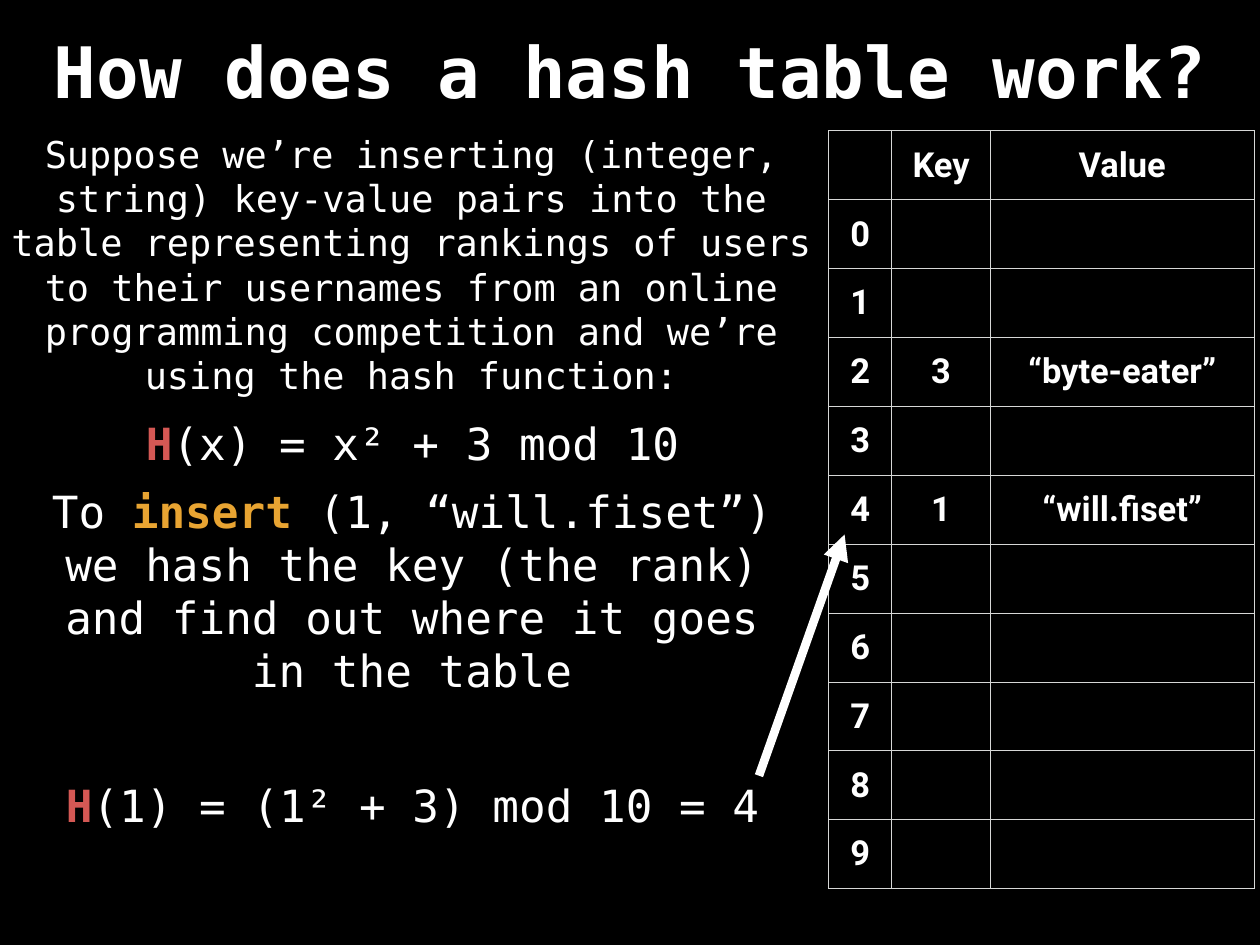
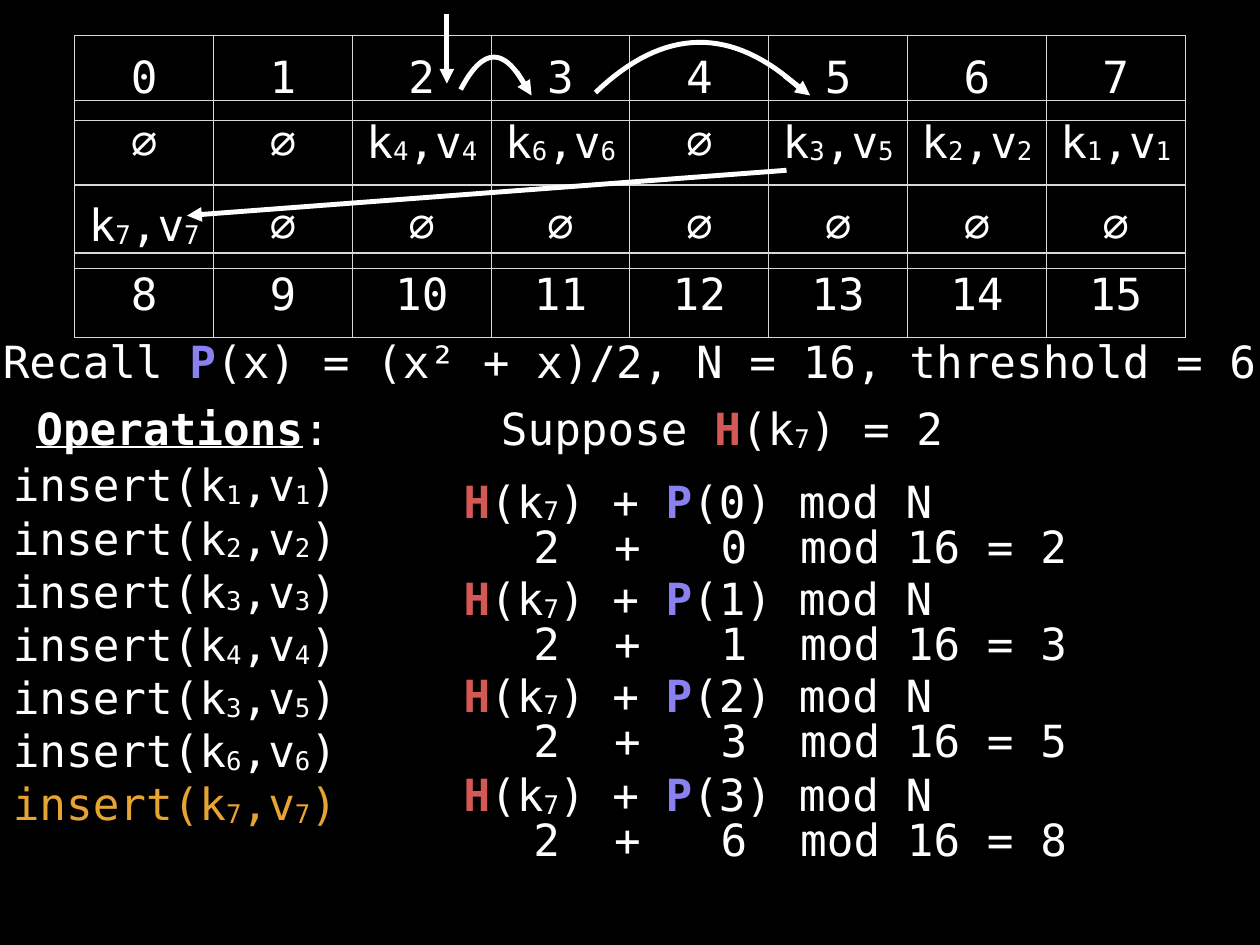
from dataclasses import dataclass
from typing import NamedTuple

from lxml import etree
from pptx import Presentation
from pptx.dml.color import RGBColor
from pptx.enum.shapes import MSO_CONNECTOR
from pptx.enum.text import MSO_ANCHOR, MSO_AUTO_SIZE, PP_ALIGN
from pptx.oxml.ns import qn
from pptx.util import Emu, Pt

CENTER, LEFT = PP_ALIGN.CENTER, PP_ALIGN.LEFT
MIDDLE, TOP = MSO_ANCHOR.MIDDLE, MSO_ANCHOR.TOP
NO_FIT, GROW = MSO_AUTO_SIZE.NONE, MSO_AUTO_SIZE.SHAPE_TO_FIT_TEXT
STRAIGHT = MSO_CONNECTOR.STRAIGHT
TITLE_ONLY, BLANK = 5, 6


@dataclass(frozen=True)
class Theme:
    background: str = "000000"
    text: str = "FFFFFF"
    grid: str = "D6D7D6"
    hash_fn: str = "D45854"
    probe_fn: str = "8981F0"
    operation: str = "E8A432"
    mono: str = "DejaVu Sans Mono"
    sans: str = "Roboto"
    title_size: float = 57.6
    body_size: float = 36
    intro_size: float = 30
    table_size: float = 28
    grid_width: float = 1
    inset: int = 5


THEME = Theme()


class Run(NamedTuple):
    text: str
    color: str = THEME.text
    bold: bool = False
    underline: bool = False
    sub: bool = False


class Box(NamedTuple):
    x: int
    y: int
    w: int
    h: int


class Point(NamedTuple):
    x: int
    y: int


class Arrow(NamedTuple):
    start: Point
    end: Point
    width: float = 4


class Curve(NamedTuple):
    start: Point
    control1: Point
    control2: Point
    end: Point


Line = list[Run]

H = Run("H", THEME.hash_fn, bold=True)
P = Run("P", THEME.probe_fn, bold=True)


def px(value: float) -> Emu:
    return Emu(round(value * 10160))


def rgb(value: str) -> RGBColor:
    return RGBColor.from_string(value)


def pair(key: int, value: int, color: str = THEME.text) -> Line:
    """Return the runs of a key and value, both with a subscript."""
    return [Run("k", color), Run(str(key), color, sub=True),
            Run(",v", color), Run(str(value), color, sub=True)]


def insert_call(key: int, value: int, color: str = THEME.text) -> Line:
    return [Run("insert(", color), *pair(key, value, color), Run(")", color)]


def hash_of_key(key: int) -> Line:
    return [H, Run("(k"), Run(str(key), sub=True)]


def write_line(p, line: Line, size: float, font: str = THEME.mono, align=CENTER) -> None:
    p.alignment = align
    for run in line:
        r = p.add_run()
        r.text = run.text
        r.font.name = font
        r.font.size = Pt(size)
        r.font.bold = run.bold
        r.font.underline = run.underline
        r.font.color.rgb = rgb(run.color)
        if run.sub:
            r.font._element.set("baseline", "-6000")


def set_insets(target) -> None:
    target.margin_left = target.margin_right = px(THEME.inset)
    target.margin_top = target.margin_bottom = px(THEME.inset)


def add_text(slide, box: Box, lines: list[Line], size: float = THEME.body_size,
             align=CENTER, anchor=MIDDLE, wrap: bool = False):
    tf = slide.shapes.add_textbox(*map(px, box)).text_frame
    set_insets(tf)
    tf.word_wrap = wrap
    tf.auto_size = GROW
    tf.vertical_anchor = anchor
    for i, line in enumerate(lines):
        p = tf.add_paragraph() if i else tf.paragraphs[0]
        write_line(p, line, size, align=align)
    return tf


def add_title(slide, box: Box, text: str) -> None:
    sp = slide.shapes.title
    sp.left, sp.top, sp.width, sp.height = map(px, box)
    tf = sp.text_frame
    set_insets(tf)
    tf.word_wrap = True
    tf.auto_size = NO_FIT
    tf.vertical_anchor = MIDDLE
    write_line(tf.paragraphs[0], [Run(text, bold=True)], THEME.title_size)


def set_tabs(p, stops: list[int]) -> None:
    tabs = etree.SubElement(p._p.get_or_add_pPr(), qn("a:tabLst"))
    for stop in stops:
        etree.SubElement(tabs, qn("a:tab"), pos=str(px(stop)), algn="l")


def format_cell(cell) -> None:
    """Give the cell thin borders, no fill and centred text."""
    tcPr = cell._tc.get_or_add_tcPr()
    for side in ("lnL", "lnR", "lnT", "lnB"):
        ln = etree.SubElement(tcPr, qn(f"a:{side}"), w=str(Pt(THEME.grid_width)))
        fill = etree.SubElement(ln, qn("a:solidFill"))
        etree.SubElement(fill, qn("a:srgbClr"), val=THEME.grid)
    cell.fill.background()
    cell.vertical_anchor = MIDDLE
    set_insets(cell)


def add_grid(slide, origin: Point, widths: list[int], row_height: int,
             rows: list[list[Line]], size: float, font: str = THEME.mono) -> None:
    box = Box(*origin, sum(widths), row_height * len(rows))
    table = slide.shapes.add_table(len(rows), len(widths), *map(px, box)).table
    table.first_row = table.horz_banding = False
    for column, width in zip(table.columns, widths):
        column.width = px(width)
    for i, row in enumerate(rows):
        table.rows[i].height = px(row_height)
        for j, line in enumerate(row):
            cell = table.cell(i, j)
            format_cell(cell)
            write_line(cell.text_frame.paragraphs[0], line, size, font)


def add_arrow(slide, arrow: Arrow) -> None:
    cxn = slide.shapes.add_connector(STRAIGHT, *map(px, (*arrow.start, *arrow.end)))
    cxn.line.color.rgb = rgb(THEME.text)
    cxn.line.width = Pt(arrow.width)
    etree.SubElement(cxn.line._get_or_add_ln(), qn("a:tailEnd"), type="triangle")
    etree.SubElement(cxn._element.spPr, qn("a:effectLst"))


def add_curve(slide, curve: Curve, steps: int = 32) -> None:
    """Draw a cubic Bézier curve as an open outline."""
    points = []
    for i in range(steps + 1):
        t = i / steps
        weights = ((1 - t) ** 3, 3 * t * (1 - t) ** 2, 3 * t * t * (1 - t), t ** 3)
        points.append(tuple(px(sum(w * c for w, c in zip(weights, axis)))
                            for axis in zip(*curve)))
    builder = slide.shapes.build_freeform(*points[0])
    builder.add_line_segments(points[1:], close=False)
    sp = builder.convert_to_shape()
    sp.shadow.inherit = False
    sp.fill.background()
    sp.line.color.rgb = rgb(THEME.text)
    sp.line.width = Pt(4)


def build_hash_slide(prs) -> None:
    slide = prs.slides.add_slide(prs.slide_layouts[TITLE_ONLY])
    add_title(slide, Box(43, 14, 1194, 115), "How does a hash table work?")

    entries = {2: ("3", "“byte-eater”"), 4: ("1", "“will.fiset”")}
    texts = [("", "Key", "Value")]
    texts += [(str(i), *entries.get(i, ("", ""))) for i in range(10)]
    rows = [[[Run(t, bold=True)] if t else [] for t in row] for row in texts]
    add_grid(slide, Point(842, 133), [64, 100, 268], 70, rows,
             THEME.table_size, THEME.sans)

    add_text(slide, Box(142, 419, 554, 61), [[H, Run("(x) = x² + 3 mod 10")]])
    add_text(slide, Box(5, 132, 826, 273), [[Run(
        "Suppose we’re inserting (integer, string) key-value pairs into the table "
        "representing rankings of users to their usernames from an online programming "
        "competition and we’re using the hash function:")]],
        THEME.intro_size, wrap=True)
    add_text(slide, Box(41, 492, 755, 215), [[
        Run("To "), Run("insert", THEME.operation, bold=True),
        Run(" (1, “will.fiset”) we hash the key (the rank) "
            "and find out where it goes in the table")]], wrap=True)
    add_text(slide, Box(61, 787, 716, 61), [[H, Run("(1) = (1² + 3) mod 10 = 4")]])
    add_arrow(slide, Arrow(Point(771, 788), Point(858, 543), 7))


def build_probing_slide(prs) -> None:
    slide = prs.slides.add_slide(prs.slide_layouts[BLANK])
    slots: list[Line] = [[Run("∅")] for _ in range(16)]
    for slot, (key, value) in {2: (4, 4), 3: (6, 6), 5: (3, 5),
                               6: (2, 2), 7: (1, 1), 8: (7, 7)}.items():
        slots[slot] = pair(key, value)
    labels: list[Line] = [[Run(str(i))] for i in range(16)]
    for top, cells in ((102, slots[:8]), (187, slots[8:]),
                       (36, labels[:8]), (257, labels[8:])):
        add_grid(slide, Point(76, top), [141] * 8, 86, [cells], THEME.body_size)

    add_text(slide, Box(31, 404, 310, 61),
             [[Run("Operations", bold=True, underline=True), Run(":")]])
    add_text(slide, Box(-62, 336, 1403, 61),
             [[Run("Recall "), P, Run("(x) = (x² + x)/2, N = 16, threshold = 6")]],
             wrap=True)
    add_text(slide, Box(502, 404, 463, 61),
             [[Run("Suppose "), *hash_of_key(7), Run(") = 2")]])

    for x, top in enumerate((478, 577, 675, 776)):
        probe = (x * x + x) // 2
        add_text(slide, Box(464, top, 490, 61),
                 [[*hash_of_key(7), Run(") + "), P, Run(f"({x}) mod N")]])
        tf = add_text(slide, Box(456, top + 46, 650, 61),
                      [[Run(f"\t2\t+\t{probe}\tmod 16 = {2 + probe}")]],
                      align=LEFT, wrap=True)
        set_tabs(tf.paragraphs[0], [81, 163, 271, 352])

    add_arrow(slide, Arrow(Point(454, 14), Point(454, 85)))
    hops = (
        (Curve(Point(468, 91), Point(490, 49), Point(511, 47), Point(533, 86)),
         Arrow(Point(525, 73), Point(540, 97))),
        (Curve(Point(605, 94), Point(675, 27), Point(744, 26), Point(814, 91)),
         Arrow(Point(797, 77), Point(823, 97))),
    )
    for curve, head in hops:
        add_curve(slide, curve)
        add_arrow(slide, head)
    add_arrow(slide, Arrow(Point(799, 173), Point(190, 219)))

    calls = [insert_call(k, v) for k, v in ((1, 1), (2, 2), (3, 3), (4, 4), (3, 5), (6, 6))]
    calls.append(insert_call(7, 7, THEME.operation))
    add_text(slide, Box(8, 460, 373, 369), calls, align=LEFT, anchor=TOP)


def main() -> None:
    prs = Presentation()
    prs.slide_width, prs.slide_height = px(1280), px(960)
    fill = prs.slide_master.background.fill
    fill.solid()
    fill.fore_color.rgb = rgb(THEME.background)
    build_hash_slide(prs)
    build_probing_slide(prs)
    prs.save("out.pptx")


if __name__ == "__main__":
    main()
